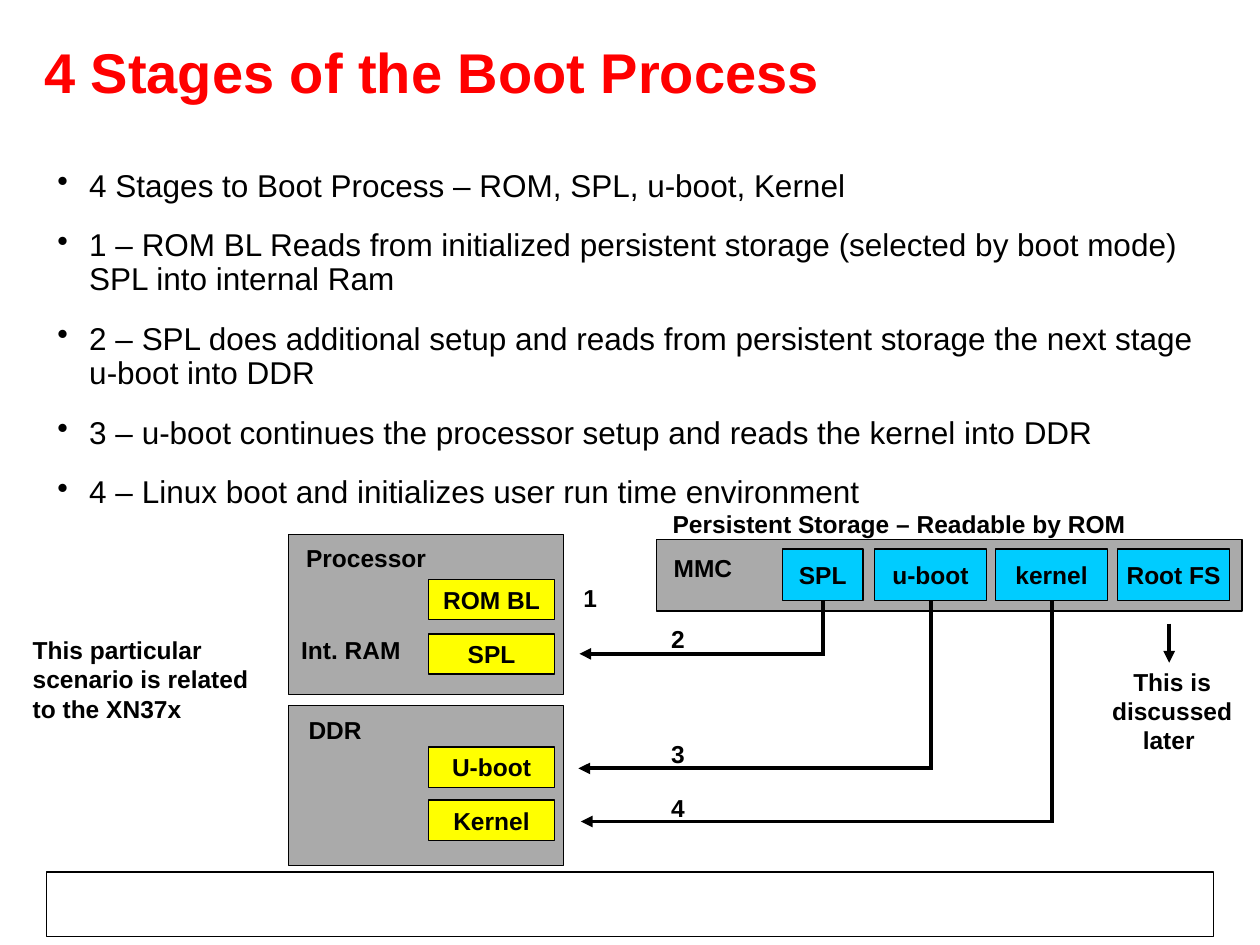
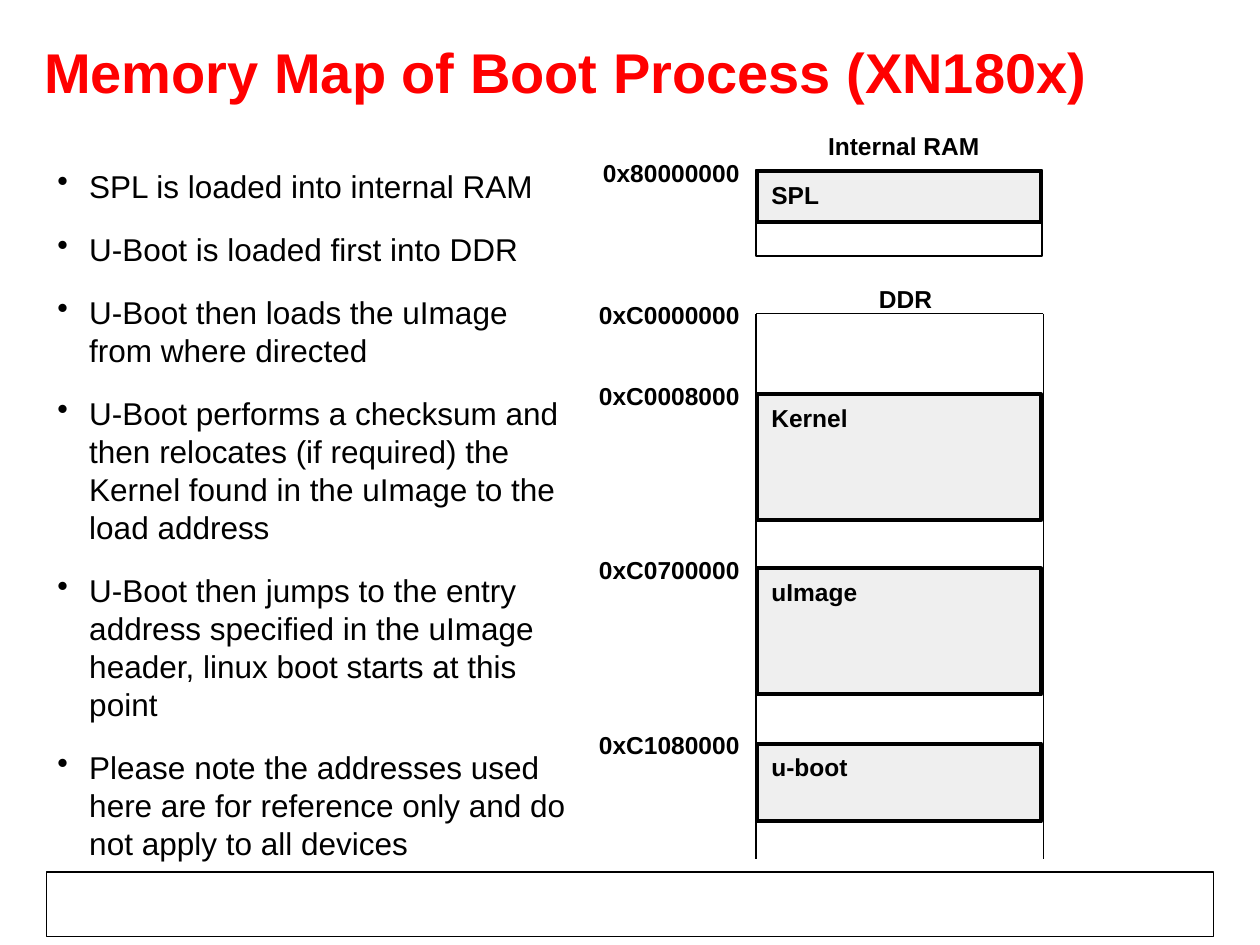
import pptx
import pptx.util
import pptx.dml.color
import pptx.enum.shapes
import pptx.enum.text
import pptx.oxml.ns
import lxml.etree

Cm, Pt = pptx.util.Cm, pptx.util.Pt
hue = pptx.dml.color.RGBColor.from_string
qn = pptx.oxml.ns.qn
align = pptx.enum.text.PP_ALIGN
anchor = pptx.enum.text.MSO_ANCHOR

# Shared look
black, red, grey = "000000", "FF0000", "AAAAAA"
blue, yellow = "00CCFF", "FFFF00"
label = {"name": "Arial", "size": Pt(14), "bold": True}
title = {"name": "Arial", "size": Pt(32), "bold": True}
body = {"name": "Arial", "size": Pt(18), "bold": False}


def put(page, area, texts=(), look=label, ink=black, fill=None, edge=None, alpha=None,
        side=align.LEFT, stand=anchor.TOP, inset=(0.25, 0.13), bullet=False, lead=None):
    """Draw a text box, or a rectangle when it has an edge."""
    place = [Cm(n) for n in area]
    if edge:
        box = page.shapes.add_shape(pptx.enum.shapes.MSO_SHAPE.RECTANGLE, *place)
        box.shadow.inherit = False
        box.line.color.rgb = hue(black)
        box.line.width = Pt(edge)
    else:
        box = page.shapes.add_textbox(*place)
    if fill:
        box.fill.solid()
        box.fill.fore_color.rgb = hue(fill)
        if alpha:
            tint = box.fill._xPr.find(qn("a:solidFill"))[0]
            lxml.etree.SubElement(tint, qn("a:alpha"), val=str(alpha * 1000))
    else:
        box.fill.background()

    frame = box.text_frame
    across, down = Cm(inset[0]), Cm(inset[1])
    form = {"word_wrap": True, "vertical_anchor": stand, "margin_left": across,
            "margin_right": across, "margin_top": down, "margin_bottom": down}
    for key, val in form.items():
        setattr(frame, key, val)
    for i, text in enumerate(texts):
        para = frame.add_paragraph() if i else frame.paragraphs[0]
        para.text = text
        para.alignment = side
        if lead:
            para.line_spacing = lead
        if bullet:
            para.space_before = Pt(14.6 if i else 0)
            props = para._p.get_or_add_pPr()
            props.set("marL", str(Cm(0.64)))
            props.set("indent", str(-Cm(0.64)))
            lxml.etree.SubElement(props, qn("a:buChar"), char="•")
        for key, val in look.items():
            setattr(para.font, key, val)
        para.font.color.rgb = hue(ink)
    return box


def link(page, start, end, width=2.25, arrow=False):
    """Draw a straight line, with an arrowhead at its end if asked."""
    line = page.shapes.add_connector(pptx.enum.shapes.MSO_CONNECTOR.STRAIGHT,
                                     *[Cm(n) for n in start + end])
    line.line.color.rgb = hue(black)
    line.line.width = Pt(width)
    if arrow:
        lxml.etree.SubElement(line.line._get_or_add_ln(), qn("a:tailEnd"), type="triangle")
    lxml.etree.SubElement(line._element.spPr, qn("a:effectLst"))
    return line


deck = pptx.Presentation()
deck.slide_width, deck.slide_height = Cm(25.4), Cm(19.05)

# Footer frame, title and bullets of both slides
talks = [
    ("4 Stages of the Boot Process", (0.91, 3.3, 23.52, 7.14), 0.9, [
        "4 Stages to Boot Process – ROM, SPL, u-boot, Kernel",
        "1 – ROM BL Reads from initialized persistent storage (selected by boot mode) "
        "SPL into internal Ram",
        "2 – SPL does additional setup and reads from persistent storage the next stage "
        "u-boot into DDR",
        "3 – u-boot continues the processor setup and reads the kernel into DDR",
        "4 – Linux boot and initializes user run time environment"]),
    ("Memory Map of Boot Process (XN180x)", (0.91, 3.23, 10.82, 13.94), None, [
        "SPL is loaded into internal RAM",
        "U-Boot is loaded first into DDR",
        "U-Boot then loads the uImage from where directed",
        "U-Boot performs a checksum and then relocates (if required) the Kernel found "
        "in the uImage to the load address",
        "U-Boot then jumps to the entry address specified in the uImage header, linux "
        "boot starts at this point",
        "Please note the addresses used here are for reference only and do not apply "
        "to all devices"]),
]
pages = []
for head, area, lead, points in talks:
    page = deck.slides.add_slide(deck.slide_layouts[6])
    put(page, (0.94, 17.58, 23.52, 1.3), edge=0.75)
    put(page, (0.64, 0.41, 23.5, 2.26), [head], title, red, stand=anchor.MIDDLE, lead=0.85)
    put(page, area, points, body, bullet=True, lead=lead)
    pages.append(page)
stages, memory = pages

# Stages: storage, processor and DDR panels
for text, area, inset in [("MMC", (13.23, 10.87, 11.81, 1.45), (0.35, 0.28)),
                          ("Processor", (5.82, 10.77, 5.54, 3.23), (0.35, 0.17)),
                          ("DDR", (5.82, 14.22, 5.54, 3.23), (0.4, 0.2))]:
    put(stages, area, [text], fill=grey, edge=0.75, inset=inset)

# Stages: parts inside the panels
part = {"edge": 0.75, "side": align.CENTER, "stand": anchor.MIDDLE, "inset": (0, 0)}
for text, top in [("ROM BL", 11.68), ("SPL", 12.78), ("U-boot", 15.06), ("Kernel", 16.13)]:
    put(stages, (8.64, top, 2.54, 0.81), [text], fill=yellow, **part)
stores = [put(stages, (left, 11.07, width, 1.04), [text], fill=blue, **part)
          for text, left, width in [("SPL", 15.77, 1.63), ("u-boot", 17.63, 2.26),
                                    ("kernel", 20.07, 2.26), ("Root FS", 22.53, 2.26)]]

# Stages: free labels
for text, left, top, width in [("Persistent Storage – Readable by ROM", 13.31, 10.13, 10.2),
                               ("Int. RAM", 5.82, 12.67, 2.8),
                               ("1", 11.51, 11.63, 0.79), ("2", 13.28, 12.45, 0.79),
                               ("3", 13.28, 14.76, 0.79), ("4", 13.28, 15.85, 0.79),
                               ("This particular scenario is related to the XN37x",
                                0.41, 12.67, 5.05)]:
    put(stages, (left, top, width, 0.86), [text])
put(stages, (22.07, 13.31, 3.12, 2.03), ["This is discussed later "], side=align.CENTER)

# Stages: paths from storage to memory
for store, tip, drop in zip(stores, (11.68, 11.66, 11.71), (13.18, 15.49, 16.56)):
    mid = (store.left + store.width / 2) / Cm(1)
    link(stages, (mid, 12.11), (mid, drop)).begin_connect(store, 2)
    link(stages, (mid + 0.04, drop), (tip, drop), arrow=True)
link(stages, (23.57, 12.57), (23.57, 13.36), arrow=True)

# Memory: internal RAM frame and open-ended DDR column
left, right, top, foot = 15.24, 21.03, 6.32, 17.32
put(memory, (left, 3.43, 5.77, 1.73), edge=1)
for start, end in [((left, top), (left, foot)), ((right, top), (right, foot)),
                   ((right, top), (left, top))]:
    link(memory, start, end, 0.75)
for text, x, y, width in [("Internal RAM", 16.1, 2.51, 4.24), ("DDR", 16.54, 5.59, 3.43)]:
    put(memory, (x, y, width, 0.86), [text], side=align.CENTER)

# Memory: blocks with their addresses
for code, text, y, height in [("0x80000000", "SPL", 3.45, 1.02),
                              ("0xC0000000", None, top, 0),
                              ("0xC0008000", "Kernel", 7.95, 2.54),
                              ("0xC0700000", "uImage", 11.46, 2.54),
                              ("0xC1080000", "u-boot", 14.99, 1.57)]:
    put(memory, (11.73, y - 0.4, 3.43, 0.86), [code], side=align.RIGHT)
    if text:
        put(memory, (15.27, y, 5.72, height), [text], fill=grey, alpha=19, edge=2.25,
            inset=(0.28, 0.18))

deck.save("out.pptx")
